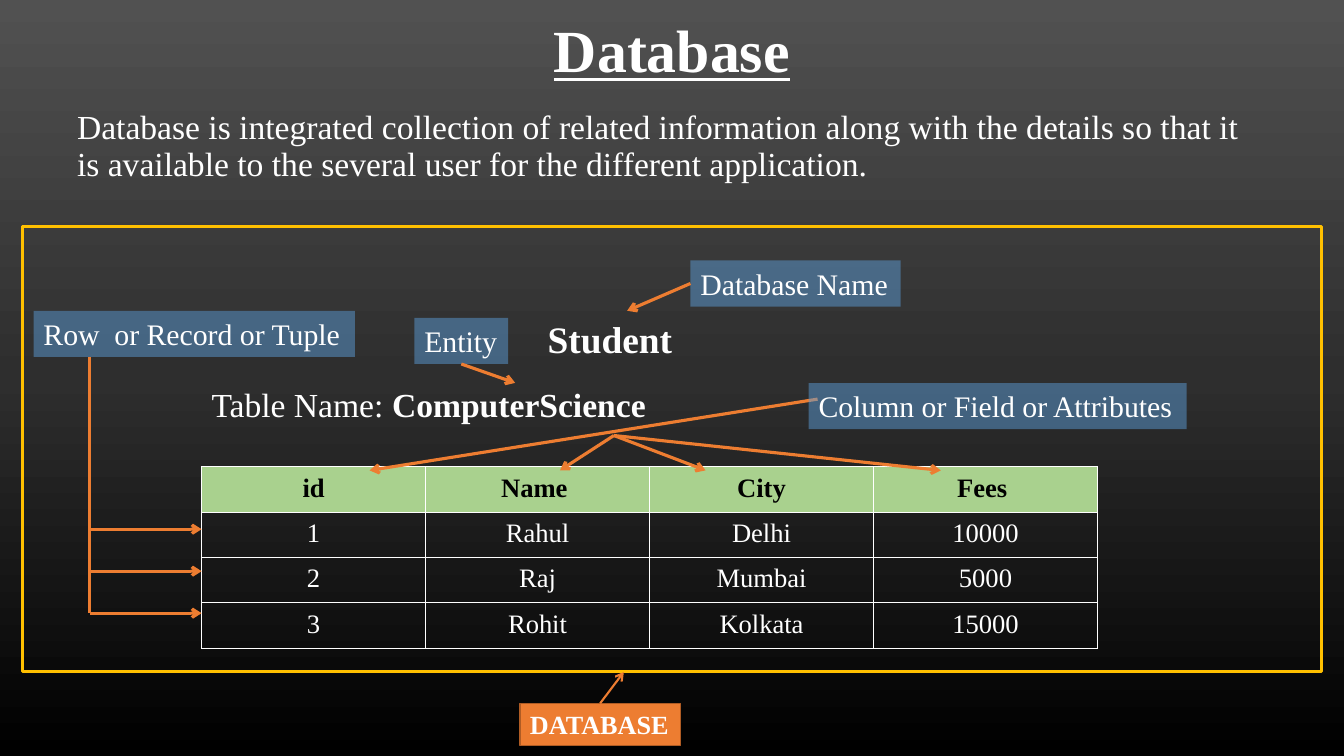
from copy import deepcopy
from lxml import etree
from pptx import Presentation
from pptx.dml.color import RGBColor
from pptx.enum.shapes import MSO_CONNECTOR, MSO_SHAPE
from pptx.enum.text import MSO_ANCHOR, PP_ALIGN
from pptx.oxml.ns import qn
from pptx.util import Pt

RECT = MSO_SHAPE.RECTANGLE
LINE = MSO_CONNECTOR.STRAIGHT
MID, TOP = MSO_ANCHOR.MIDDLE, MSO_ANCHOR.TOP
LEFT, CENTER = PP_ALIGN.LEFT, PP_ALIGN.CENTER
FONT = "Times New Roman"
WHITE, BLACK, ORANGE, BLUE = "FFFFFF", "000000", "ED7D31", "5B9BD5"
ROWS = [
    ["id", "Name ", "City", "Fees "],
    ["1", "Rahul", "Delhi", "10000"],
    ["2", "Raj", "Mumbai", "5000"],
    ["3", "Rohit", "Kolkata", "15000"],
]


def color(text):
    """Turn a hex string into a colour."""
    return RGBColor.from_string(text)


def write(para, text, size, tint=WHITE, bold=False, under=False):
    """Add one run to a paragraph."""
    run = para.add_run()
    run.text = text
    font = run.font
    font.name, font.size, font.bold, font.underline = FONT, Pt(size), bold, under
    font.color.rgb = color(tint)


def label(slide, box, runs, size, wrap=False, anchor=TOP, align=LEFT, space=None, under=False):
    """Place a text box whose runs are (text, bold) pairs."""
    frame = slide.shapes.add_textbox(*map(Pt, box)).text_frame
    frame.word_wrap, frame.vertical_anchor = wrap, anchor
    para = frame.paragraphs[0]
    para.alignment, para.line_spacing = align, space
    for text, bold in runs:
        write(para, text, size, bold=bold, under=under)


def panel(slide, box, fill=None, alpha=None, edge=None, width=1):
    """Place a rectangle with an optional fill and outline."""
    shape = slide.shapes.add_shape(RECT, *map(Pt, box))
    shape.shadow.inherit = False
    if fill:
        shape.fill.solid()
        shape.fill.fore_color.rgb = color(fill)
    else:
        shape.fill.background()
    if alpha:
        tone = shape.fill._xPr.find(".//" + qn("a:srgbClr"))
        etree.SubElement(tone, qn("a:alpha"), val=str(alpha * 1000))
    if edge:
        shape.line.color.rgb = color(edge)
        shape.line.width = Pt(width)
    else:
        shape.line.fill.background()
    return shape


def tag(slide, box, text, size=21.3, bold=False, **look):
    """Place a filled caption box."""
    frame = panel(slide, box, **look).text_frame
    frame.word_wrap, frame.vertical_anchor = False, TOP
    frame.paragraphs[0].alignment = LEFT
    write(frame.paragraphs[0], text, size, bold=bold)


def note(slide, box, text):
    """Place a translucent blue caption."""
    tag(slide, box, text, fill=BLUE, alpha=50)


def link(slide, start, end, width=2.25, arrow=True):
    """Draw an orange line, with an arrowhead at its end if asked."""
    line = slide.shapes.add_connector(LINE, *map(Pt, (*start, *end)))
    line.line.color.rgb = color(ORANGE)
    line.line.width = Pt(width)
    if arrow:
        etree.SubElement(line.line._get_or_add_ln(), qn("a:tailEnd"), type="arrow")
    etree.SubElement(line._element.spPr, qn("a:effectLst"))


def border(cell):
    """Give a cell a thin white line on each side."""
    props = cell._tc.get_or_add_tcPr()
    for spot, side in enumerate(("lnL", "lnR", "lnT", "lnB")):
        line = etree.Element(qn("a:" + side), w=str(Pt(1)))
        fill = etree.SubElement(line, qn("a:solidFill"))
        etree.SubElement(fill, qn("a:srgbClr"), val=WHITE)
        props.insert(spot, line)


def grid(slide, box):
    """Place the student table in its box."""
    table = slide.shapes.add_table(len(ROWS), len(ROWS[0]), *map(Pt, box)).table
    table.horz_banding = False
    for r, row in enumerate(ROWS):
        for c, text in enumerate(row):
            cell = table.cell(r, c)
            cell.margin_left = cell.margin_right = Pt(9.6)
            cell.margin_top = cell.margin_bottom = Pt(4.8)
            head = r == 0
            if head:
                cell.fill.solid()
                cell.fill.fore_color.rgb = color("A9D18E")
            else:
                cell.fill.background()
            border(cell)
            para = cell.text_frame.paragraphs[0]
            para.alignment = CENTER
            write(para, text, 19, BLACK if head else WHITE, head)


def backdrop(slide):
    """Shade the slide from grey down to black."""
    fill = slide.background.fill
    fill.gradient()
    fill.gradient_angle = 270
    stops = slide._element.find(".//" + qn("a:gsLst"))
    stops.append(deepcopy(stops[-1]))
    tones = ((0, "515151"), (0.5, "2E2E2E"), (1, BLACK))
    for stop, (place, tint) in zip(fill.gradient_stops, tones):
        stop.position = place
        stop.color.rgb = color(tint)


def intro(slide, box):
    """Place the title and the definition."""
    x, y, w, h = box
    label(slide, (x, y, w, 70), [("Database", True)], 42.7, True, MID, CENTER, 0.9, True)
    text = ("Database is integrated collection of related information along with the "
            "details so that it is available to the several user for the different application.")
    label(slide, (x, y + 72.7, w, h - 72.7), [(text, False)], 24, True, space=0.9)


def names(slide, box):
    """Place the database and table names with their captions."""
    x, y, w, h = box
    label(slide, (x + 240, y + 36, 104, 39.6), [("Student", True)], 26.7)
    label(slide, (x, y + 85, 339, 36), [("Table Name: ", False), ("ComputerScience", True)], 24)
    note(slide, (x + 349.2, y, 150.2, 33), "Database Name")
    link(slide, (x + 349.2, y + 16.5), (x + 304, y + 36))
    note(slide, (x + 152, y + 41, 67, 33), "Entity")
    link(slide, (x + 185.5, y + 74), (x + 224, y + 87.5))


def fields(slide, box):
    """Point the column caption at the table heads."""
    x, y, w, h = box
    base, fork = y + h, (x + 174.5, y + 37.5)
    link(slide, (x + 320, y + 11.5), (x, base))
    for step in (136, 240, 408):
        link(slide, fork, (x + step, base))
    note(slide, (x + 313.6, y, 270, 33), "Column or Field or Attributes")


def records(slide, box):
    """Point the row caption at the table rows."""
    x, y, w, h = box
    stem, last = x + 40, y + h
    link(slide, (stem, y + 33), (stem, last), arrow=False)
    for step in range(3):
        link(slide, (stem, last - 30 * step), (x + w, last - 30 * step))
    note(slide, (x, y, 229.6, 33), "Row  or Record or Tuple")


def footer(slide, box):
    """Label the whole frame as the database."""
    x, y, w, h = box
    tag(slide, box, "DATABASE", 18.7, True, fill=ORANGE, edge="AF5C24")
    link(slide, (x + w / 2, y), (x + 74.2, y - 22.4), 1.5)


def main():
    """Build and save the slide."""
    deck = Presentation()
    deck.slide_width, deck.slide_height = Pt(960), Pt(540)
    slide = deck.slides.add_slide(deck.slide_layouts[6])
    backdrop(slide)
    panel(slide, (16, 162, 928, 318), edge="FFC000", width=2.25)
    intro(slide, (48, 3, 864, 148))
    grid(slide, (144, 333.4, 640, 120))
    names(slide, (144, 186, 500, 121))
    fields(slide, (264, 273.6, 584, 62.4))
    records(slide, (24, 222, 120, 216))
    footer(slide, (371.4, 502.4, 114.6, 30))
    deck.save("out.pptx")


if __name__ == "__main__":
    main()
